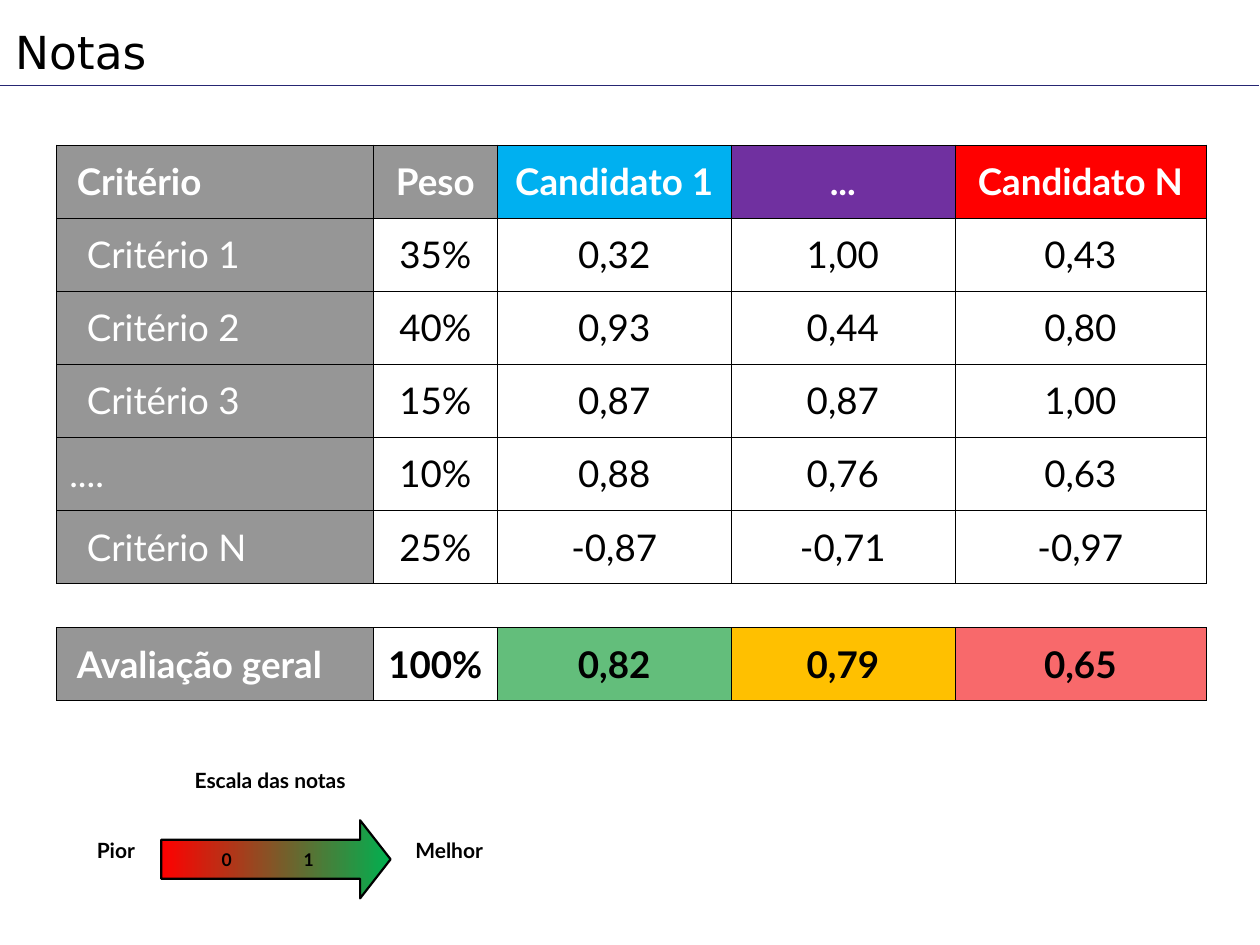
from lxml import etree
from pptx import Presentation
from pptx.dml.color import RGBColor
from pptx.enum.shapes import MSO_CONNECTOR, MSO_SHAPE
from pptx.enum.text import MSO_ANCHOR, MSO_AUTO_SIZE, PP_ALIGN
from pptx.oxml.ns import qn
from pptx.util import Inches, Pt

LEFT, CENTER = PP_ALIGN.LEFT, PP_ALIGN.CENTER
TOP, MIDDLE = MSO_ANCHOR.TOP, MSO_ANCHOR.MIDDLE

BLACK = RGBColor(0x00, 0x00, 0x00)
WHITE = RGBColor(0xFF, 0xFF, 0xFF)
NAVY = RGBColor(0x26, 0x26, 0x73)
GRAY = RGBColor(0x96, 0x96, 0x96)
BLUE = RGBColor(0x00, 0xB0, 0xF0)
PURPLE = RGBColor(0x70, 0x30, 0xA0)
RED = RGBColor(0xFF, 0x00, 0x00)
GREEN = RGBColor(0x00, 0xB0, 0x50)
GOOD = RGBColor(0x63, 0xBE, 0x7B)
FAIR = RGBColor(0xFF, 0xC0, 0x00)
POOR = RGBColor(0xF8, 0x69, 0x6B)


def write(para, text, size, color=BLACK, bold=True, font="Lato", align=CENTER):
    para.alignment = align
    span = para.add_run()
    span.text = text
    span.font.name = font
    span.font.size = Pt(size)
    span.font.bold = bold
    span.font.color.rgb = color


def set_border(cell, side, points):
    """Draw one black cell border; zero points means no line."""
    properties = cell._tc.get_or_add_tcPr()
    line = etree.SubElement(properties, qn(f"a:ln{side}"), w=str(Pt(points)))
    if points:
        fill = etree.SubElement(line, qn("a:solidFill"))
        etree.SubElement(fill, qn("a:srgbClr"), val=str(BLACK))
    else:
        etree.SubElement(line, qn("a:noFill"))


deck = Presentation()
deck.slide_width, deck.slide_height = Inches(10), Inches(7.5)
page = deck.slides.add_slide(deck.slide_layouts[5])

# Title and rule
title = page.shapes.title
title.left, title.top = Inches(0.02), Inches(0.14)
title.width, title.height = Inches(9), Inches(0.54)
title.text_frame.auto_size = MSO_AUTO_SIZE.NONE
title.text_frame.vertical_anchor = TOP
write(title.text_frame.paragraphs[0], "Notas", 26, bold=False,
      font="DejaVu Sans", align=LEFT)

rule = page.shapes.add_connector(MSO_CONNECTOR.STRAIGHT, 0, Inches(0.68),
                                 Inches(9.99), Inches(0.68))
rule.line.color.rgb = NAVY
rule.line.width = Pt(0.75)
etree.SubElement(rule._element.spPr, qn("a:effectLst"))

# Scale of the grades
arrow = page.shapes.add_shape(MSO_SHAPE.RIGHT_ARROW, Inches(1.28), Inches(6.51),
                              Inches(1.82), Inches(0.62))
arrow.shadow.inherit = False
arrow.adjustments[0], arrow.adjustments[1] = 0.5, 0.39
arrow.fill.gradient()
arrow.fill.gradient_angle = 0
for stop, color, position in zip(arrow.fill.gradient_stops, (RED, GREEN), (0, 1)):
    stop.color.rgb = color
    stop.position = position
arrow.line.color.rgb = BLACK
arrow.line.width = Pt(1.25)
frame = arrow.text_frame
frame.margin_left = Inches(0.48)
frame.vertical_anchor = MIDDLE
marks = frame.paragraphs[0]
tabs = etree.SubElement(marks._p.get_or_add_pPr(), qn("a:tabLst"))
etree.SubElement(tabs, qn("a:tab"), pos=str(Inches(0.65)), algn="l")
write(marks, "0\t1", 10, align=LEFT)

for text, left, top, width in [("Pior", 0.59, 6.6, 0.66),
                               ("Melhor", 3.12, 6.6, 0.89),
                               ("Escala das notas", 0.81, 6.04, 2.67)]:
    label = page.shapes.add_shape(MSO_SHAPE.RECTANGLE, Inches(left), Inches(top),
                                  Inches(width), Inches(0.46))
    label.shadow.inherit = False
    label.fill.solid()
    label.fill.fore_color.rgb = WHITE
    label.line.fill.background()
    label.text_frame.vertical_anchor = TOP
    write(label.text_frame.paragraphs[0], text, 12)

# Grades table
GRADES = [
    ["Critério", "Peso", "Candidato 1", "...", "Candidato N"],
    ["Critério 1", "35%", "0,32", "1,00", "0,43"],
    ["Critério 2", "40%", "0,93", "0,44", "0,80"],
    ["Critério 3", "15%", "0,87", "0,87", "1,00"],
    ["....", "10%", "0,88", "0,76", "0,63"],
    ["Critério N", "25%", "-0,87", "-0,71", "-0,97"],
    [""] * 5,
    ["Avaliação geral", "100%", "0,82", "0,79", "0,65"],
]
HEADER, SPACER, TOTAL = 0, 6, 7
FILLS = {HEADER: [GRAY, GRAY, BLUE, PURPLE, RED],
         SPACER: [None] * 5,
         TOTAL: [GRAY, None, GOOD, FAIR, POOR]}
BODY_FILLS = [GRAY, None, None, None, None]
COLUMNS = [2.51, 0.99, 1.85, 1.78, 1.99]
ROWS = [0.35 if row == SPACER else 0.58 for row in range(len(GRADES))]
THIN, THICK = 0.23, 0.45
THICK_EDGES = {0, 1, 6, 7, 8}

table = page.shapes.add_table(len(ROWS), len(COLUMNS), Inches(0.45), Inches(1.15),
                              Inches(sum(COLUMNS)), Inches(sum(ROWS))).table
table.first_row = table.horz_banding = False
for column, width in zip(table.columns, COLUMNS):
    column.width = Inches(width)

for row, values in enumerate(GRADES):
    table.rows[row].height = Inches(ROWS[row])
    emphasized = row in (HEADER, TOTAL)
    for col, value in enumerate(values):
        cell = table.cell(row, col)
        sides = 0 if row == SPACER else THIN
        set_border(cell, "L", THICK if sides and col == 0 else sides)
        set_border(cell, "R", sides)
        set_border(cell, "T", THICK if row in THICK_EDGES else THIN)
        set_border(cell, "B", THICK if row + 1 in THICK_EDGES else THIN)

        fill = FILLS.get(row, BODY_FILLS)[col]
        if fill is None:
            cell.fill.background()
        else:
            cell.fill.solid()
            cell.fill.fore_color.rgb = fill

        cell.vertical_anchor = MIDDLE
        if row == SPACER:
            cell.margin_top = cell.margin_bottom = 0
            continue
        if col == 0 and value != "....":
            cell.margin_left = Inches(0.16 if emphasized else 0.24)
        color = WHITE if row == HEADER or col == 0 else BLACK
        write(cell.text_frame.paragraphs[0], value, 21, color, emphasized,
              align=CENTER if col else LEFT)

deck.save("out.pptx")
